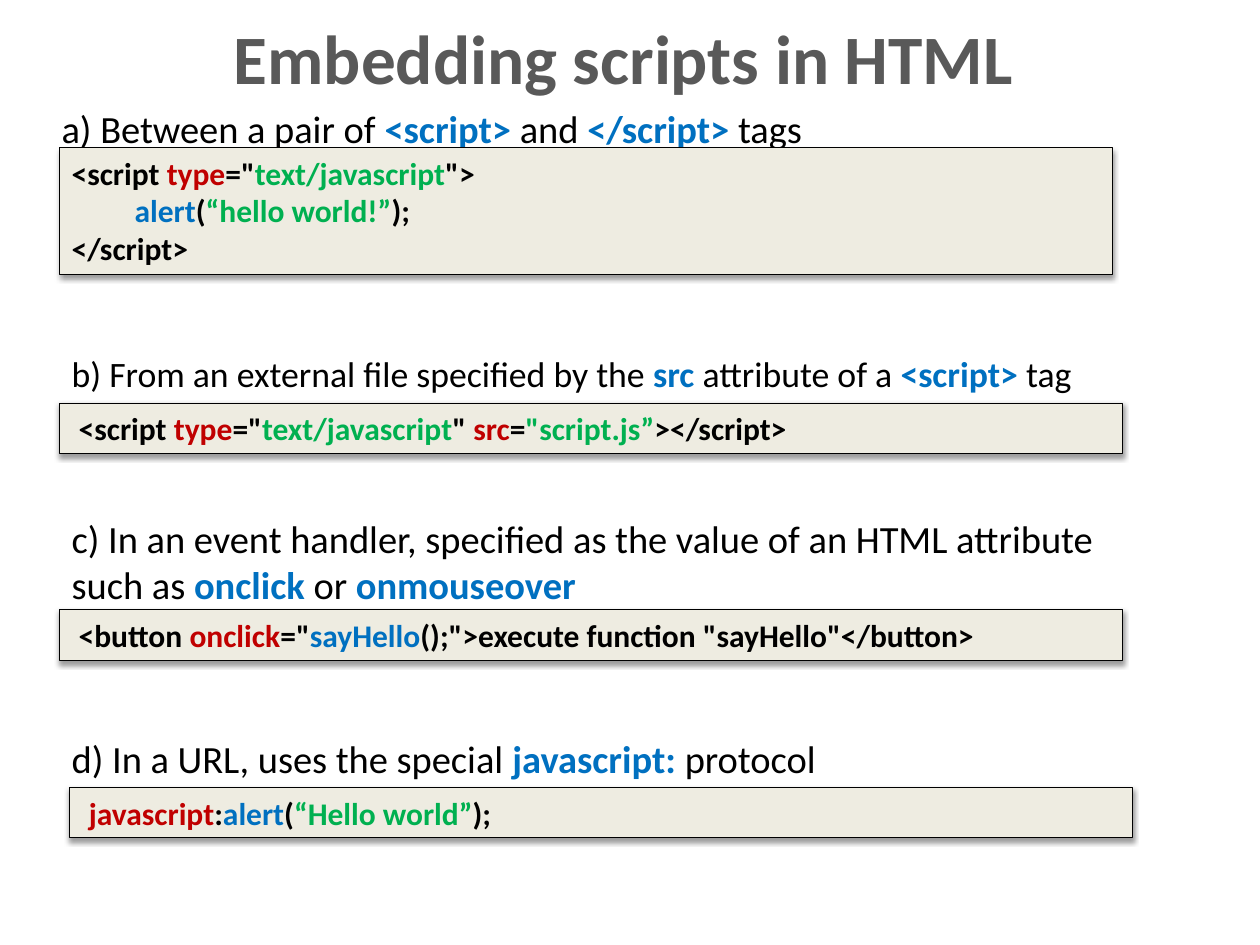
import pptx
import pptx.dml.color
import pptx.enum.shapes
import pptx.enum.text
import pptx.oxml
import pptx.oxml.ns
import pptx.util
from pptx.util import Inches

RGBColor = pptx.dml.color.RGBColor
MSO_ANCHOR = pptx.enum.text.MSO_ANCHOR
PP_ALIGN = pptx.enum.text.PP_ALIGN

BLACK = RGBColor(0x00, 0x00, 0x00)
GREY = RGBColor(0x59, 0x59, 0x59)
BLUE = RGBColor(0x00, 0x70, 0xC0)
RED = RGBColor(0xC0, 0x00, 0x00)
GREEN = RGBColor(0x00, 0xB0, 0x50)
CREAM = RGBColor(0xEE, 0xEC, 0xE1)

FONT = "Calibri"
CODE_SIZE = 18
TITLE = "Embedding scripts in HTML"

# Each caption or code line is a list of (text, colour); blue caption words are bold.
METHODS = [
    {
        "caption": [[("a) Between a pair of ", BLACK), ("<script> ", BLUE), ("and ", BLACK),
                     ("</script> ", BLUE), ("tags", BLACK)]],
        "caption_at": (0.39, 0.78, 8.51, 0.47),
        "caption_size": 22,
        "code": [
            [("<script ", BLACK), ("type", RED), ('="', BLACK),
             ("text/javascript", GREEN), ('">', BLACK)],
            [("\t", BLACK), ("alert", BLUE), ("(", BLACK),
             ("“hello world!”", GREEN), (");", BLACK)],
            [("</script>", BLACK)],
        ],
        "code_at": (0.47, 1.17, 8.36, 1.01),
    },
    {
        "caption": [[("b) From an external file specified by the ", BLACK), ("src", BLUE),
                     (" attribute of a ", BLACK), ("<script> ", BLUE), ("tag", BLACK)]],
        "caption_at": (0.47, 2.73, 8.51, 0.47),
        "caption_size": 20.4,
        "code": [[(" <script ", BLACK), ("type", RED), ('="', BLACK),
                  ("text/javascript", GREEN), ('" ', BLACK), ("src", RED), ("=", BLACK),
                  ('"script.js”', GREEN), ("></script>", BLACK)]],
        "code_at": (0.47, 3.2, 8.44, 0.4),
    },
    {
        "caption": [
            [("c) In an event handler, specified as the value of an HTML attribute", BLACK)],
            [("such as ", BLACK), ("onclick", BLUE), (" or ", BLACK), ("onmouseover", BLUE)],
        ],
        "caption_at": (0.47, 4.06, 8.98, 0.78),
        "caption_size": 22,
        "code": [[(" <button ", BLACK), ("onclick", RED), ('="', BLACK), ("sayHello", BLUE),
                  ('();">execute function "sayHello"</button>', BLACK)]],
        "code_at": (0.47, 4.84, 8.44, 0.4),
    },
    {
        "caption": [[("d) In a URL, uses the special ", BLACK), ("javascript: ", BLUE),
                     ("protocol", BLACK)]],
        "caption_at": (0.47, 5.78, 8.51, 0.47),
        "caption_size": 22,
        "code": [[(" ", BLACK), ("javascript", RED), (":", BLACK), ("alert", BLUE),
                  ("(", BLACK), ("“Hello world”", GREEN), (");", BLACK)]],
        "code_at": (0.55, 6.25, 8.44, 0.4),
    },
]

SHADOW = (
    f'<a:outerShdw {pptx.oxml.ns.nsdecls("a")} blurRad="40000" dist="20000" dir="5400000" '
    'rotWithShape="0"><a:srgbClr val="000000"><a:alpha val="38000"/></a:srgbClr></a:outerShdw>'
)


def add_run(paragraph, text, size, color, bold):
    run = paragraph.add_run()
    run.text = text
    run.font.name = FONT
    run.font.size = pptx.util.Pt(size)
    run.font.color.rgb = color
    run.font.bold = bold


def paragraphs_for(frame, lines):
    """Yield a left-aligned paragraph of the frame with each line."""
    for number, line in enumerate(lines):
        paragraph = frame.add_paragraph() if number else frame.paragraphs[0]
        paragraph.alignment = PP_ALIGN.LEFT
        yield paragraph, line


def add_caption(slide, lines, at, size):
    caption = slide.shapes.add_textbox(*map(Inches, at))
    frame = caption.text_frame
    frame.word_wrap = True
    frame.vertical_anchor = MSO_ANCHOR.MIDDLE
    for paragraph, line in paragraphs_for(frame, lines):
        properties = paragraph._p.get_or_add_pPr()
        properties.set("marL", str(Inches(0.5)))
        properties.set("indent", str(Inches(-0.5)))
        for text, color in line:
            add_run(paragraph, text, size, color, color == BLUE)


def add_code(slide, lines, at):
    code = slide.shapes.add_shape(pptx.enum.shapes.MSO_SHAPE.RECTANGLE, *map(Inches, at))
    code.fill.solid()
    code.fill.fore_color.rgb = CREAM
    code.line.color.rgb = BLACK
    code.line.width = pptx.util.Pt(0.75)
    code.shadow.inherit = False
    effects = code._element.spPr.find(pptx.oxml.ns.qn("a:effectLst"))
    effects.append(pptx.oxml.parse_xml(SHADOW))

    frame = code.text_frame
    frame.word_wrap = True
    frame.auto_size = pptx.enum.text.MSO_AUTO_SIZE.SHAPE_TO_FIT_TEXT
    frame.vertical_anchor = MSO_ANCHOR.TOP
    for paragraph, line in paragraphs_for(frame, lines):
        for text, color in line:
            add_run(paragraph, text, CODE_SIZE, color, True)


def add_title(slide):
    title = slide.shapes.title
    title.left, title.top, title.width, title.height = map(Inches, (0.7, 0.16, 8.5, 0.58))
    frame = title.text_frame
    frame.auto_size = pptx.enum.text.MSO_AUTO_SIZE.NONE
    frame.vertical_anchor = MSO_ANCHOR.MIDDLE
    frame.paragraphs[0].alignment = PP_ALIGN.CENTER
    add_run(frame.paragraphs[0], TITLE, 39.6, GREY, True)


def main():
    deck = pptx.Presentation()
    deck.slide_width, deck.slide_height = Inches(10), Inches(7.5)
    slide = deck.slides.add_slide(deck.slide_layouts.get_by_name("Title Only"))
    add_title(slide)
    for method in METHODS:
        add_caption(slide, method["caption"], method["caption_at"], method["caption_size"])
        add_code(slide, method["code"], method["code_at"])
    deck.save("out.pptx")


if __name__ == "__main__":
    main()
